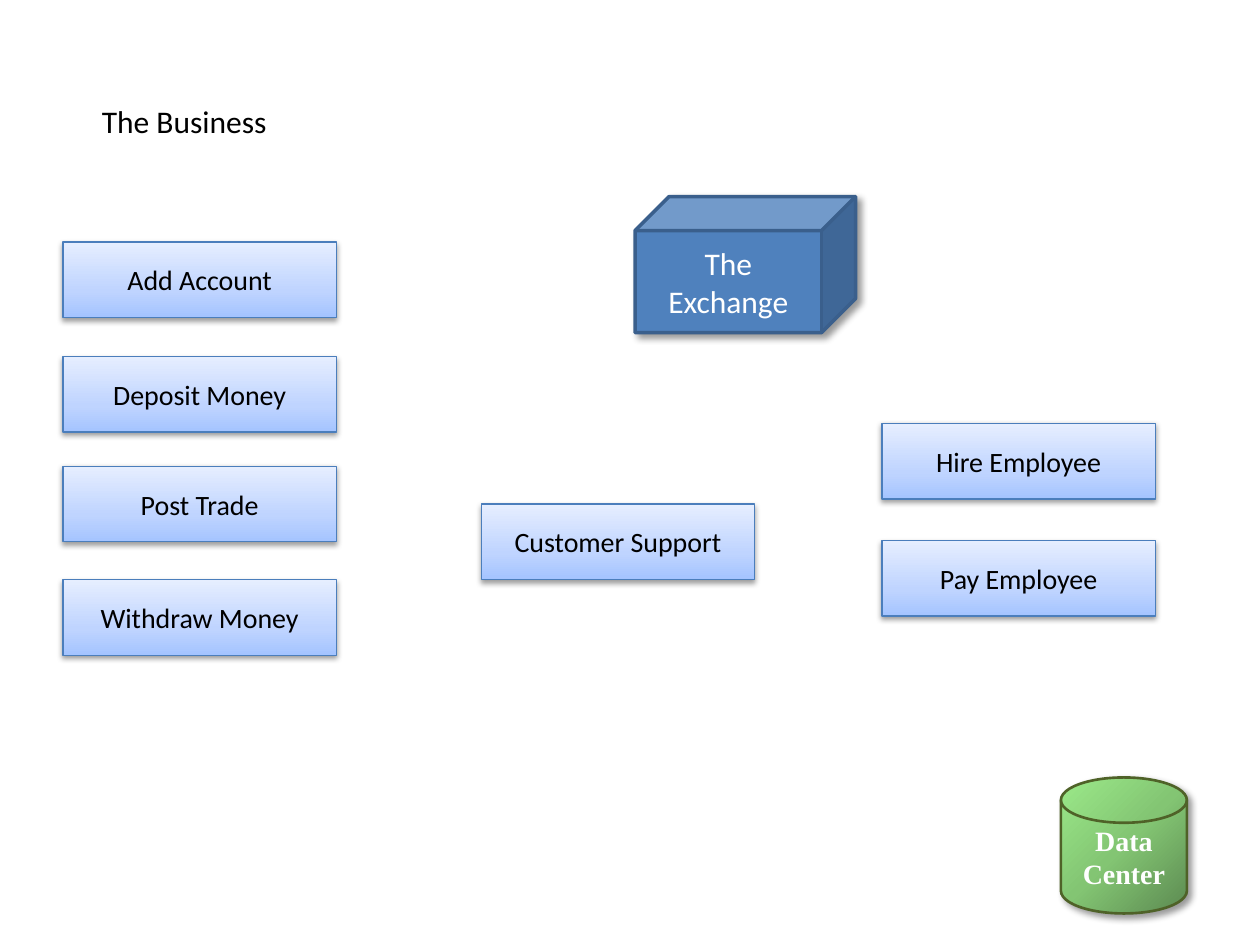
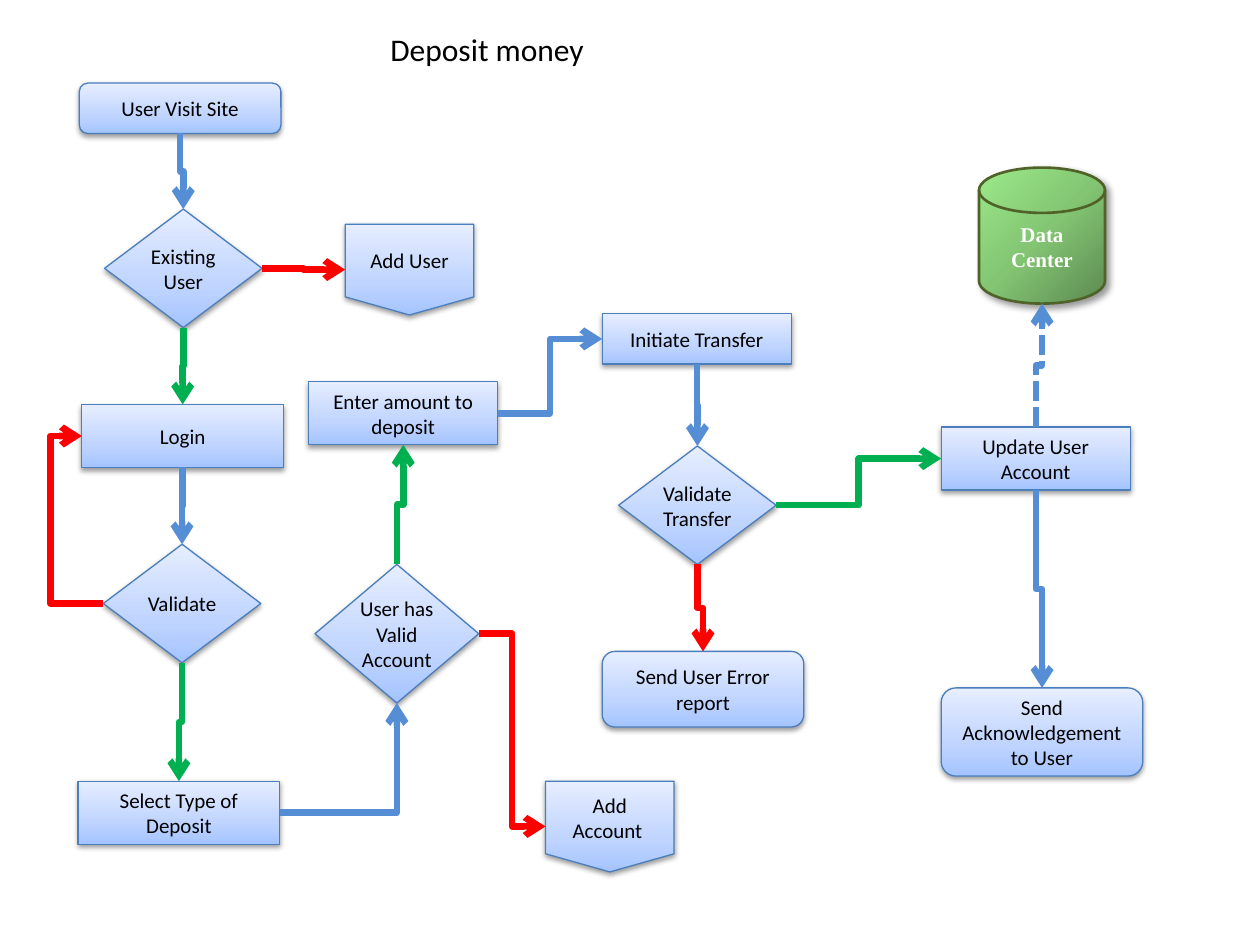
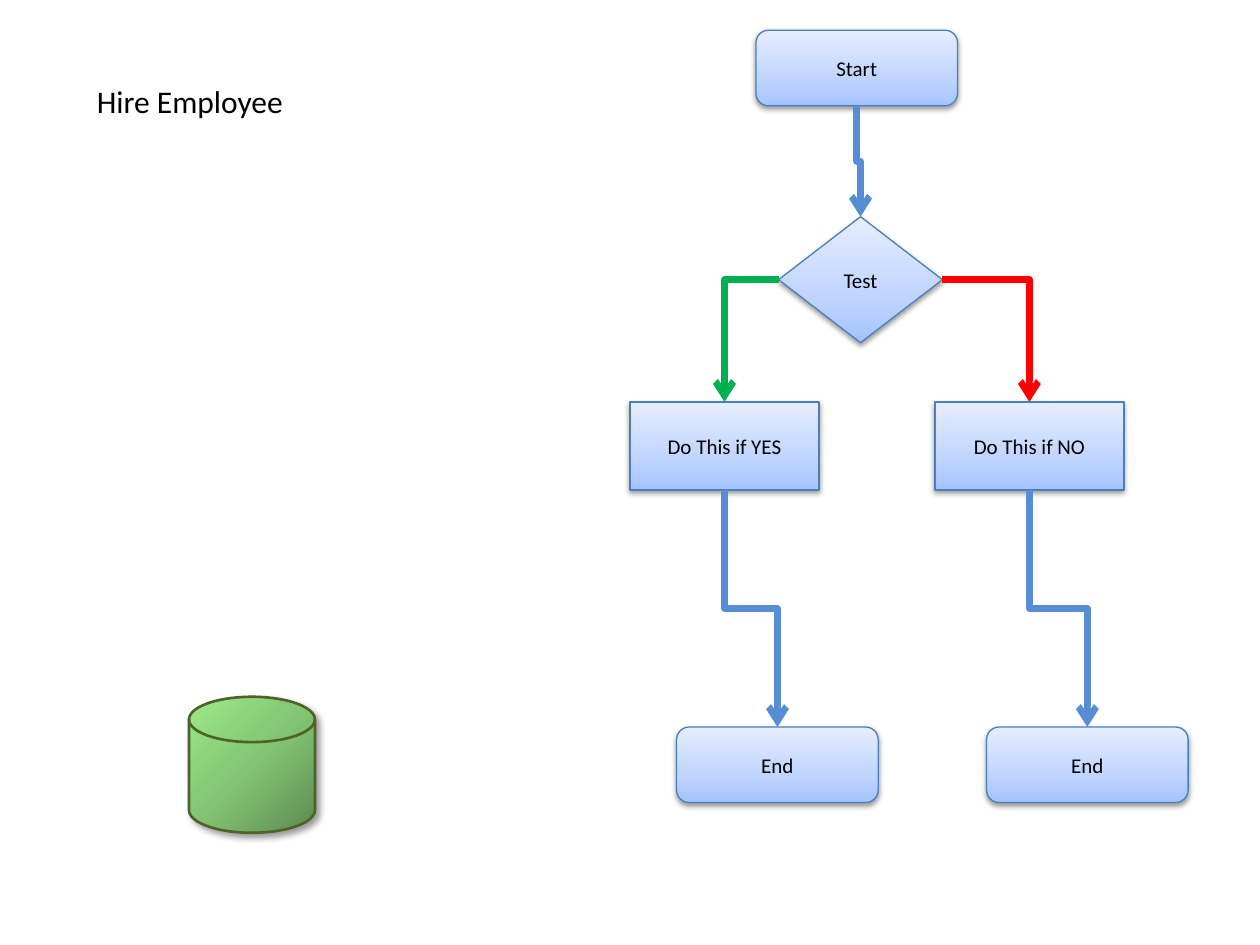
from lxml import etree
from pptx import Presentation
from pptx.dml.color import RGBColor
from pptx.enum.dml import MSO_LINE
from pptx.enum.shapes import MSO_CONNECTOR, MSO_SHAPE
from pptx.enum.text import MSO_ANCHOR, MSO_AUTO_SIZE, PP_ALIGN
from pptx.oxml.ns import qn
from pptx.util import Inches, Pt

PROCESS = MSO_SHAPE.FLOWCHART_PROCESS
TERMINAL = MSO_SHAPE.FLOWCHART_ALTERNATE_PROCESS
DECISION = MSO_SHAPE.FLOWCHART_DECISION
OFFPAGE = MSO_SHAPE.FLOWCHART_OFFPAGE_CONNECTOR
DISK = MSO_SHAPE.FLOWCHART_MAGNETIC_DISK
CUBE = MSO_SHAPE.CUBE
ELBOW = MSO_CONNECTOR.ELBOW
SYSTEM_DASH = MSO_LINE.SQUARE_DOT
MIDDLE = MSO_ANCHOR.MIDDLE
CENTER = PP_ALIGN.CENTER
FIT_SHAPE = MSO_AUTO_SIZE.SHAPE_TO_FIT_TEXT

COLORS = {
    "text": "000000",
    "light text": "FFFFFF",
    "box line": "4B7EBC",
    "disk line": "4F6228",
    "cube": "4F81BD",
    "cube line": "3A5F8C",
    "next": "558ED5",
    "yes": "00B050",
    "no": "FF0000",
    "shadow": "000000",
}
BOX_STOPS = [(0, "A4C4FF"), (35, "BFD4FF"), (100, "E6EEFF")]
DISK_STOPS = [(0, "5C8A51"), (50, "83C573"), (100, "9BE989")]
BOX_SHADOW = (38, 3.1, 1.6, 90)
DEEP_SHADOW = (40, 4, 3, 45)

SITES = {"top": 0, "left": 1, "bottom": 2, "right": 3}
DISK_SITES = {"top": 1, "left": 2, "bottom": 3, "right": 4}
TURNS = {
    ("right", True): (0, ""),
    ("right", False): (0, "V"),
    ("left", True): (180, "V"),
    ("left", False): (180, ""),
    ("bottom", True): (270, "H"),
    ("bottom", False): (90, ""),
    ("top", True): (90, "HV"),
    ("top", False): (270, "V"),
}


def rgb(name):
    return RGBColor.from_string(COLORS[name])


def add_run(paragraph, text, size, color="text", font="Calibri", bold=False):
    run = paragraph.add_run()
    run.text = text
    run.font.name = font
    run.font.size = Pt(size)
    run.font.bold = bold
    run.font.color.rgb = rgb(color)


def add_title(slide, left, top, width, text):
    box = slide.shapes.add_textbox(Inches(left), Inches(top), Inches(width), Inches(0.4))
    box.text_frame.word_wrap = False
    box.text_frame.auto_size = FIT_SHAPE
    add_run(box.text_frame.paragraphs[0], text, 18)


def set_gradient(shape, stops, angle):
    shape.fill.gradient()
    shape.fill.gradient_angle = angle
    stop_list = shape._element.spPr.find(qn("a:gradFill")).find(qn("a:gsLst"))
    for stop in list(stop_list):
        stop_list.remove(stop)
    for position, color in stops:
        stop = etree.SubElement(stop_list, qn("a:gs"), pos=str(position * 1000))
        etree.SubElement(stop, qn("a:srgbClr"), val=color)


def set_shadow(shape, opacity, blur, distance, angle):
    shape.shadow.inherit = False
    effects = shape._element.spPr.find(qn("a:effectLst"))
    shadow = etree.SubElement(
        effects, qn("a:outerShdw"), blurRad=str(int(Pt(blur))), dist=str(int(Pt(distance))),
        dir=str(angle * 60000), rotWithShape="0")
    color = etree.SubElement(shadow, qn("a:srgbClr"), val=COLORS["shadow"])
    etree.SubElement(color, qn("a:alpha"), val=str(opacity * 1000))


def add_shape(slide, kind, left, top, width, height, line, line_width, shadow):
    shape = slide.shapes.add_shape(
        kind, Inches(left), Inches(top), Inches(width), Inches(height))
    shape.line.color.rgb = rgb(line)
    shape.line.width = Pt(line_width)
    set_shadow(shape, *shadow)
    return shape


def write_label(shape, text, size, **style):
    frame = shape.text_frame
    frame.word_wrap = True
    frame.vertical_anchor = MIDDLE
    for index, line in enumerate(text.split("\n")):
        paragraph = frame.add_paragraph() if index else frame.paragraphs[0]
        paragraph.alignment = CENTER
        add_run(paragraph, line, size, **style)


def add_box(slide, kind, left, top, width, height, text, size=12):
    shape = add_shape(slide, kind, left, top, width, height, "box line", 0.75, BOX_SHADOW)
    set_gradient(shape, BOX_STOPS, 90)
    if kind == DECISION:
        frame = shape.text_frame
        frame.margin_left = frame.margin_right = 0
        frame.margin_top = frame.margin_bottom = 0
    write_label(shape, text, size)
    return shape


def add_disk(slide, left, top, text="", size=12):
    shape = add_shape(slide, DISK, left, top, 1, 1.08, "disk line", 1.5, DEEP_SHADOW)
    set_gradient(shape, DISK_STOPS, 135)
    if text:
        write_label(shape, text, size, color="light text", font="Times New Roman", bold=True)
    return shape


def add_cube(slide, left, top, text):
    shape = add_shape(slide, CUBE, left, top, 1.75, 1.08, "cube line", 2, DEEP_SHADOW)
    shape.fill.solid()
    shape.fill.fore_color.rgb = rgb("cube")
    write_label(shape, text, 18, color="light text")


def site_point(shape, side):
    x = shape.left + {"left": 0, "right": shape.width}.get(side, shape.width // 2)
    y = shape.top + {"top": 0, "bottom": shape.height}.get(side, shape.height // 2)
    return x, y


def site_index(shape, side):
    return (DISK_SITES if shape.auto_shape_type == DISK else SITES)[side]


def place_elbow(connector, start, end, side):
    vertical = side in ("top", "bottom")
    across, down = end[0] - start[0], end[1] - start[1]
    width, height = abs(across), abs(down)
    if vertical:
        width, height = height, width
    angle, flips = TURNS[side, (across if vertical else down) >= 0]
    connector.left = (start[0] + end[0] - width) // 2
    connector.top = (start[1] + end[1] - height) // 2
    connector.width, connector.height = width, height
    transform = connector._element.spPr.find(qn("a:xfrm"))
    for flip in ("H", "V"):
        transform.attrib.pop("flip" + flip, None)
        if flip in flips:
            transform.set("flip" + flip, "1")
    if angle:
        transform.set("rot", str(angle * 60000))


def add_arrow(slide, source, side, target, target_side, color="next", bend=None, dash=None):
    start, end = site_point(source, side), site_point(target, target_side)
    connector = slide.shapes.add_connector(ELBOW, *start, *end)
    connector.begin_connect(source, SITES[side])
    connector.end_connect(target, SITES[target_side])
    properties = connector._element.nvCxnSpPr.cNvCxnSpPr
    properties.stCxn.idx = site_index(source, side)
    properties.endCxn.idx = site_index(target, target_side)
    place_elbow(connector, start, end, side)
    geometry = connector._element.spPr.find(qn("a:prstGeom"))
    if (side in ("left", "right")) != (target_side in ("left", "right")):
        geometry.set("prst", "bentConnector2")
    if bend:
        guides = geometry.find(qn("a:avLst"))
        etree.SubElement(guides, qn("a:gd"), name="adj1", fmla=f"val {round(bend * 100000)}")
    connector.line.color.rgb = rgb(color)
    connector.line.width = Pt(3.75)
    if dash:
        connector.line.dash_style = dash
    outline = connector.line._get_or_add_ln()
    etree.SubElement(outline, qn("a:tailEnd"), type="arrow")
    etree.SubElement(connector._element.spPr, qn("a:effectLst"))


def build_business(slide):
    add_title(slide, 0.71, 0.76, 1.52, "The Business")
    add_disk(slide, 8.42, 6.17, "Data\nCenter", 16)
    for left, top, text in [
        (0.5, 1.92, "Add Account"),
        (0.5, 2.83, "Deposit Money"),
        (0.5, 3.7, "Post Trade"),
        (0.5, 4.6, "Withdraw Money"),
        (3.82, 4, "Customer Support"),
        (7, 3.36, "Hire Employee"),
        (7, 4.29, "Pay Employee"),
    ]:
        add_box(slide, PROCESS, left, top, 2.17, 0.6, text, 16)
    add_cube(slide, 5.04, 1.56, "The Exchange")


def build_deposit(slide):
    add_title(slide, 3, 0.19, 1.76, "Deposit money")
    visit = add_box(slide, TERMINAL, 0.63, 0.66, 1.6, 0.4, "User Visit Site")
    existing = add_box(slide, DECISION, 0.83, 1.66, 1.25, 0.94, "Existing User")
    add_user = add_box(slide, OFFPAGE, 2.74, 1.78, 1.02, 0.72, "Add User")
    login = add_box(slide, PROCESS, 0.65, 3.21, 1.6, 0.5, "Login")
    validate = add_box(slide, DECISION, 0.82, 4.32, 1.25, 0.94, "Validate")
    select = add_box(slide, PROCESS, 0.62, 6.2, 1.6, 0.5, "Select Type of Deposit")
    valid_account = add_box(slide, DECISION, 2.5, 4.48, 1.3, 1.1, "User has Valid Account")
    add_account = add_box(slide, OFFPAGE, 4.33, 6.2, 1.02, 0.72, "Add Account ")
    amount = add_box(slide, PROCESS, 2.45, 3.03, 1.5, 0.5, "Enter amount to deposit")
    initiate = add_box(slide, PROCESS, 4.78, 2.49, 1.5, 0.4, "Initiate Transfer")
    transfer = add_box(slide, DECISION, 4.91, 3.54, 1.25, 0.94, "Validate\nTransfer")
    error = add_box(slide, TERMINAL, 4.78, 5.17, 1.6, 0.6, "Send User Error\nreport")
    update = add_box(slide, PROCESS, 7.47, 3.39, 1.5, 0.5, "Update User Account")
    acknowledge = add_box(
        slide, TERMINAL, 7.47, 5.46, 1.6, 0.7, "Send Acknowledgement\nto User")
    data_center = add_disk(slide, 7.77, 1.33, "Data\nCenter")

    add_arrow(slide, visit, "bottom", existing, "top")
    add_arrow(slide, existing, "right", add_user, "left", "no")
    add_arrow(slide, existing, "bottom", login, "top", "yes")
    add_arrow(slide, login, "bottom", validate, "top")
    add_arrow(slide, validate, "left", login, "left", "no", bend=2.47)
    add_arrow(slide, validate, "bottom", select, "top", "yes")
    add_arrow(slide, select, "right", valid_account, "bottom")
    add_arrow(slide, valid_account, "right", add_account, "left", "no")
    add_arrow(slide, valid_account, "top", amount, "bottom", "yes")
    add_arrow(slide, amount, "right", initiate, "left")
    add_arrow(slide, initiate, "bottom", transfer, "top")
    add_arrow(slide, transfer, "bottom", error, "top", "no")
    add_arrow(slide, transfer, "right", update, "left", "yes")
    add_arrow(slide, update, "top", data_center, "bottom", dash=SYSTEM_DASH)
    add_arrow(slide, update, "bottom", acknowledge, "top")


def build_hire(slide):
    add_title(slide, 0.67, 0.6, 1.7, "Hire Employee")
    add_disk(slide, 1.5, 5.53)
    start = add_box(slide, TERMINAL, 6, 0.24, 1.6, 0.6, "Start")
    test = add_box(slide, DECISION, 6.18, 1.72, 1.3, 1, "Test")
    add_arrow(slide, start, "bottom", test, "top")
    for side, color, task_left, end_left, text in [
        ("left", "yes", 5, 5.37, "Do This if YES"),
        ("right", "no", 7.42, 7.83, "Do This if NO"),
    ]:
        task = add_box(slide, PROCESS, task_left, 3.19, 1.5, 0.7, text)
        end = add_box(slide, TERMINAL, end_left, 5.77, 1.6, 0.6, "End")
        add_arrow(slide, test, side, task, "top", color)
        add_arrow(slide, task, "bottom", end, "top")


def main():
    presentation = Presentation()
    presentation.slide_width = Inches(10)
    presentation.slide_height = Inches(7.5)
    for build in (build_business, build_deposit, build_hire):
        build(presentation.slides.add_slide(presentation.slide_layouts[6]))
    presentation.save("out.pptx")


main()
